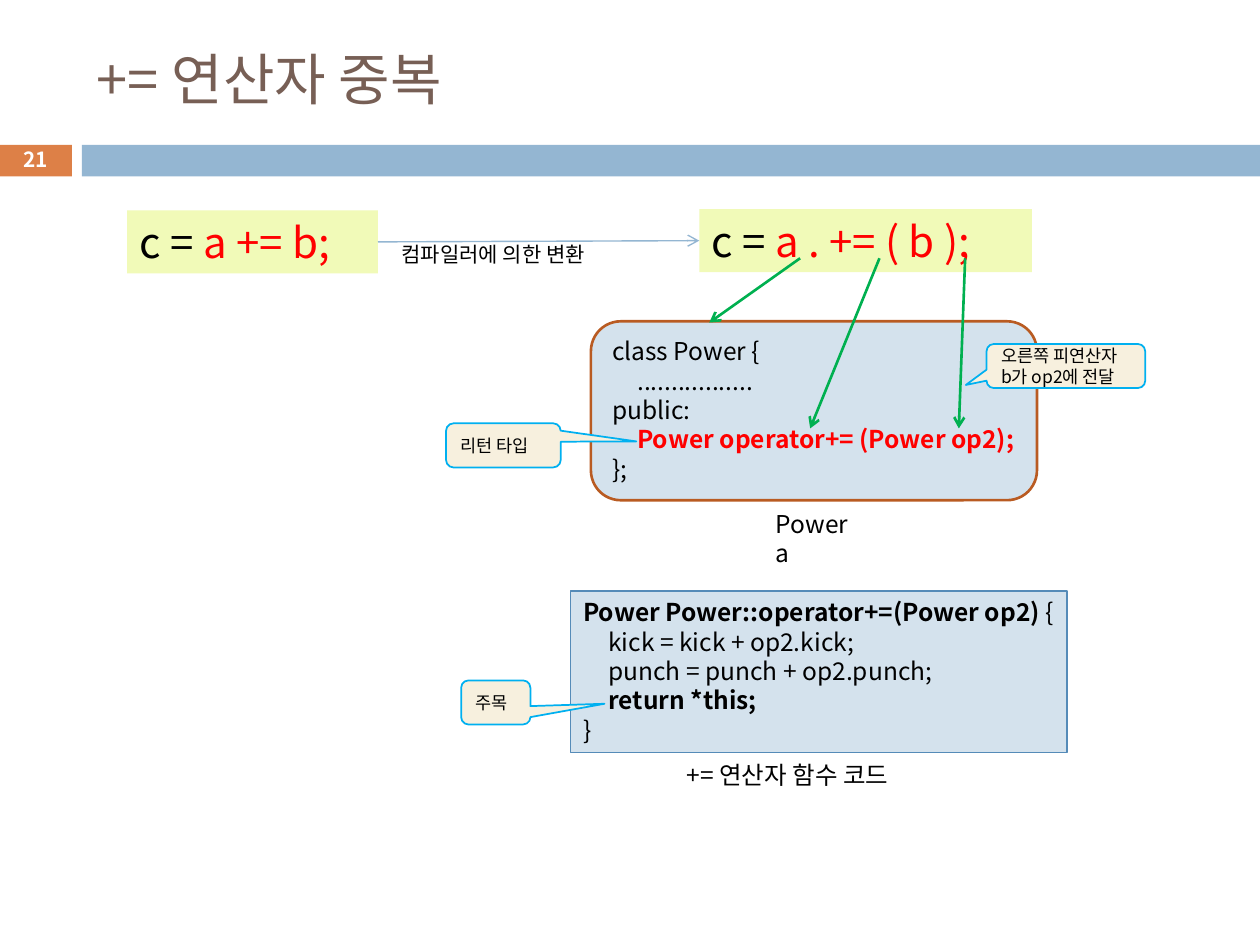
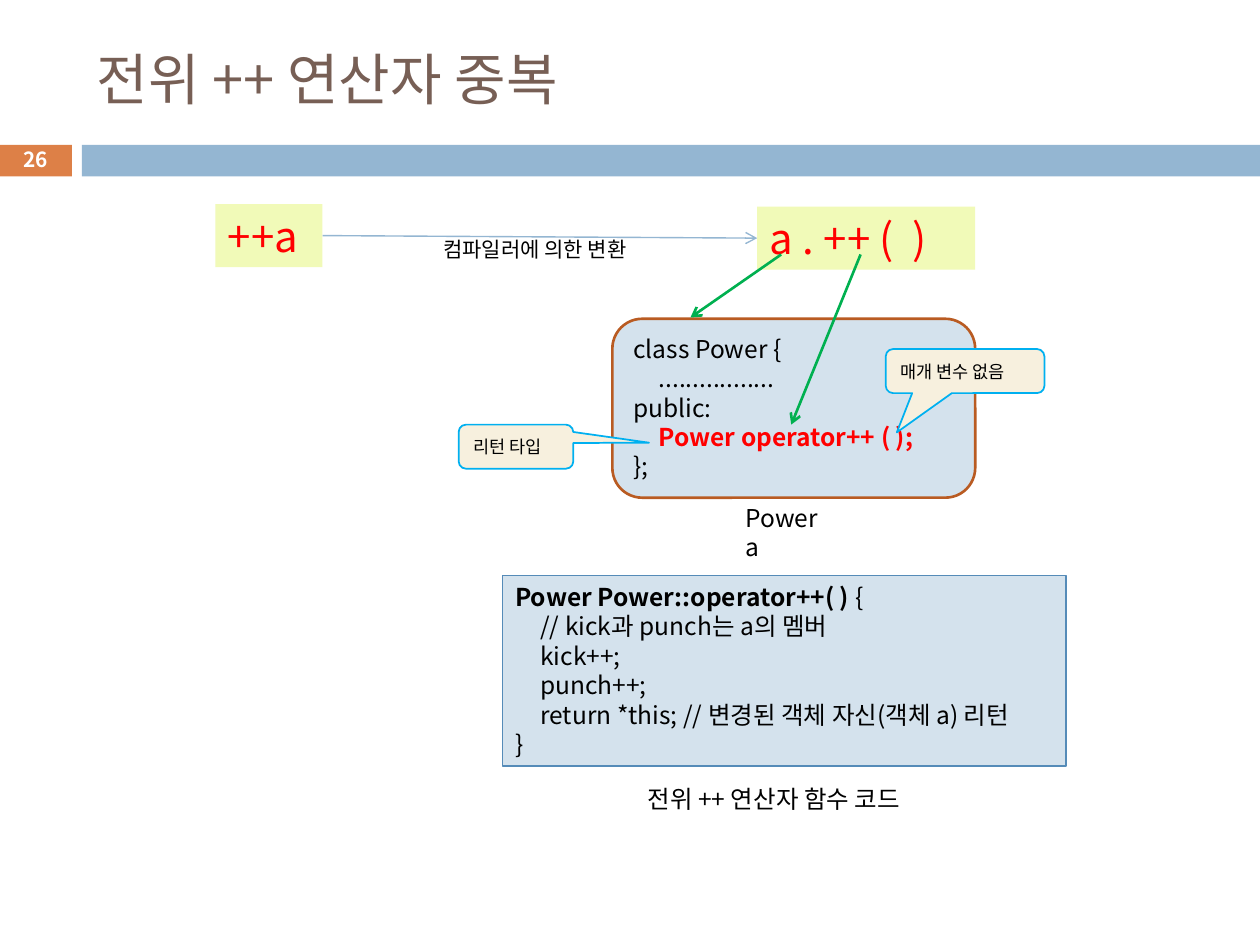
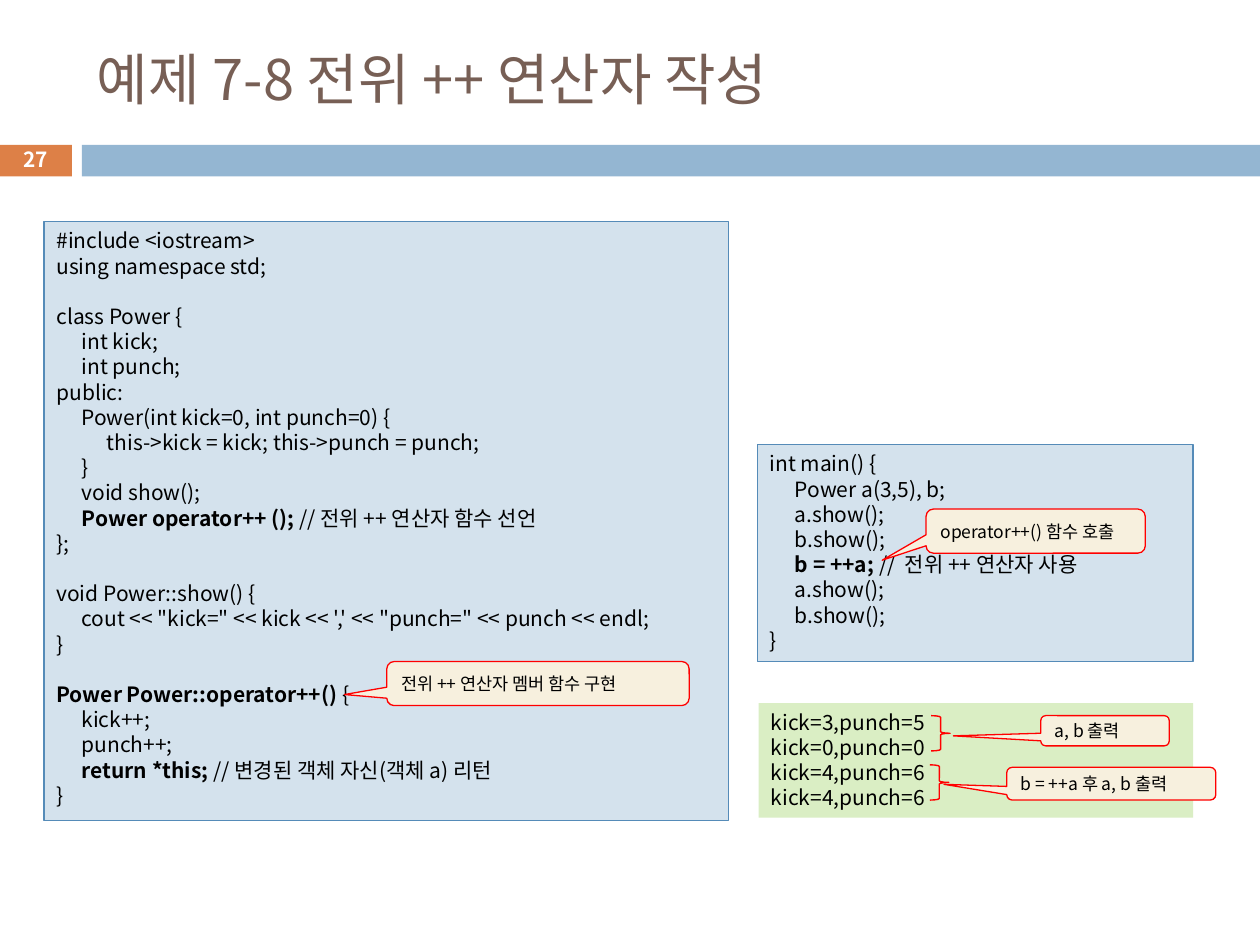
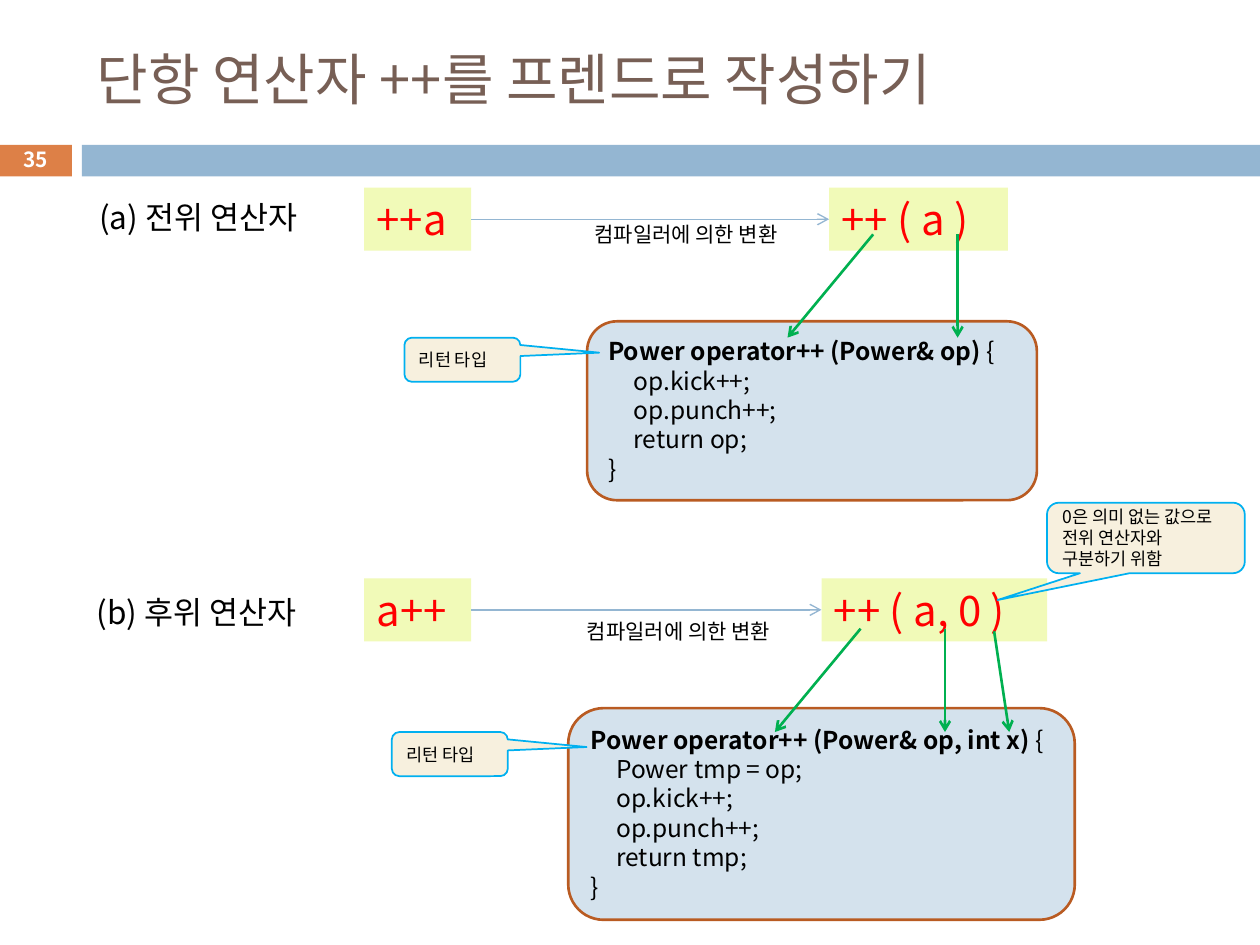
from lxml.etree import SubElement as Sub
from pptx import Presentation
from pptx.dml.color import RGBColor as RGB
from pptx.enum.shapes import MSO_CONNECTOR as CONN, MSO_SHAPE as SHAPE
from pptx.enum.text import MSO_ANCHOR as ANCHOR, MSO_AUTO_SIZE as AUTO, PP_ALIGN as ALIGN
from pptx.oxml.ns import qn
from pptx.util import Inches, Pt

FONT = "Noto Sans CJK KR"
BLACK, WHITE, RED, GREEN = "000000", "FFFFFF", "FF0000", "00B050"
BROWN, ORANGE, BLUE = "775F55", "DD8047", "94B6D2"
CODE, EDGE, RIM = "D4E2ED", "558BB8", "B95B22"
LIME, MINT, CREAM, CYAN = "F1FAB8", "DAEEC4", "F7F0DE", "00B0F0"
LEAD = 1.2
TAB = 0.2


def color(code):
    """Turn a hex string into a colour."""
    return RGB.from_string(code)


class Deck:
    """Hold the style and the current slide."""

    def __init__(self):
        """Start an empty deck of 10 by 7.5 inches."""
        self.prs = Presentation()
        self.prs.slide_width, self.prs.slide_height = Inches(10), Inches(7.5)
        self.page = None

    def begin(self, title, num):
        """Add a slide with its bands, title and number."""
        self.page = self.prs.slides.add_slide(self.prs.slide_layouts[6])
        self.shape(SHAPE.RECTANGLE, (-0.01, 1.15, 0.58, 0.25), ORANGE)
        self.shape(SHAPE.RECTANGLE, (0.65, 1.15, 9.35, 0.25), BLUE)
        self.label(title, (0.67, 0.25, 8.92, 0.74), 32, BROWN, grow=False)
        mark = self.label(f"|{num}", (-0.01, 1.13, 0.58, 0.27), 11.9, WHITE, grow=False)
        mark.text_frame.paragraphs[0].alignment = ALIGN.CENTER

    def shape(self, kind, box, fill=None, line=None, width=0.75):
        """Add a preset shape without shadow."""
        item = self.page.shapes.add_shape(kind, *map(Inches, box))
        item.shadow.inherit = False
        if fill:
            item.fill.solid()
            item.fill.fore_color.rgb = color(fill)
        else:
            item.fill.background()
        if line:
            item.line.color.rgb = color(line)
            item.line.width = Pt(width)
        else:
            item.line.fill.background()
        return item

    def words(self, item, text, size, ink=BLACK, hot=None, bold=True, grow=True):
        """Fill a shape with text whose parts after each odd bar stand out."""
        frame = item.text_frame
        frame.word_wrap = True
        frame.auto_size = AUTO.SHAPE_TO_FIT_TEXT if grow else AUTO.NONE
        frame.vertical_anchor = ANCHOR.TOP if grow else ANCHOR.MIDDLE
        frame.text = "\n".join("" for _ in text.split("\n"))
        for para, line in zip(frame.paragraphs, text.split("\n")):
            para.alignment = ALIGN.LEFT
            para.line_spacing = Pt(size * LEAD)
            if "\t" in line:
                tabs = Sub(para._p.get_or_add_pPr(), qn("a:tabLst"))
                for step in (1, 2):
                    Sub(tabs, qn("a:tab"), pos=str(Inches(TAB * step)), algn="l")
            for row, piece in enumerate(line.split("\v")):
                if row:
                    para.add_line_break()
                for n, part in enumerate(piece.split("|")):
                    if part:
                        self.span(para, part, size, hot if n % 2 and hot else ink, bold and n % 2 == 1)
            if not line:
                Sub(para._p, qn("a:endParaRPr"), sz=str(int(size * 100)))

    def span(self, para, text, size, ink, bold):
        """Add one run in the deck font."""
        run = para.add_run()
        run.text = text
        font = run.font
        font.size, font.bold, font.name = Pt(size), bold, FONT
        font.color.rgb = color(ink)
        Sub(run._r.get_or_add_rPr(), qn("a:ea"), typeface=FONT)

    def label(self, text, box, size=14, ink=BLACK, grow=True):
        """Add plain text."""
        item = self.page.shapes.add_textbox(*map(Inches, box))
        self.words(item, text, size, ink, grow=grow)
        return item

    def code(self, text, box, size=14, fill=CODE, line=EDGE):
        """Add a square listing."""
        self.words(self.shape(SHAPE.RECTANGLE, box, fill, line), text, size)

    def card(self, text, box, hot=None):
        """Add a round listing."""
        item = self.shape(SHAPE.ROUNDED_RECTANGLE, box, CODE, RIM, 1.5)
        self.words(item, text, 14, hot=hot)

    def expr(self, text, left, top, width):
        """Add a large expression on lime."""
        item = self.shape(SHAPE.RECTANGLE, (left, top, width, 0.5), LIME)
        self.words(item, text, 24, hot=RED, bold=False)
        return item

    def note(self, text, box, tip, line=CYAN, width=1):
        """Add a callout whose tip is given in parts of its size."""
        item = self.shape(SHAPE.ROUNDED_RECTANGULAR_CALLOUT, box, CREAM, line, width)
        item.adjustments[0], item.adjustments[1] = tip
        self.words(item, text, 10, grow=False)

    def arrow(self, start, end, ink=GREEN, width=1.5):
        """Add a straight arrow."""
        ends = map(Inches, (*start, *end))
        item = self.page.shapes.add_connector(CONN.STRAIGHT, *ends)
        item.line.color.rgb = color(ink)
        item.line.width = Pt(width)
        props = item._element.spPr
        Sub(props.find(qn("a:ln")), qn("a:tailEnd"), type="arrow")
        Sub(props, qn("a:effectLst"))
        return item

    def shift(self, old, new, spot):
        """Show one expression turned into another by the compiler."""
        left, right = self.expr(*old), self.expr(*new)
        item = self.arrow((0, 0), (1, 1), BLUE, 0.79)
        item.begin_connect(left, 3)
        item.end_connect(right, 1)
        self.label("컴파일러에 의한 변환", (*spot, 2.06, 0.3), 12)

    def brace(self, left, top):
        """Add a red right brace."""
        self.shape(SHAPE.RIGHT_BRACE, (left, top, 0.15, 0.28), None, RED, 0.79)


def assign(deck):
    """Build the += slide."""
    deck.begin("+= 연산자 중복", 21)
    deck.card("class Power {\n\t.................\npublic:\n"
              "\t|Power operator+= (Power op2);\n};", (4.69, 2.55, 3.54, 1.42), RED)
    deck.shift(("c = |a += b;", 1.01, 1.67, 1.99),
               ("c = |a . += ( b );", 5.55, 1.66, 2.64), (3.09, 1.87))
    deck.code("|Power Power::operator+=(Power op2) |{\n\tkick = kick + op2.kick;\n"
              "\tpunch = punch + op2.punch;\n\t|return *this;\n}", (4.53, 4.69, 3.94, 1.28))
    deck.label("Power a", (6.06, 3.99, 0.91, 0.34))
    for start, end in (((7.66, 2.05), (7.61, 3.4)), ((6.98, 2.05), (6.43, 3.4)),
                       ((6.35, 2.05), (5.63, 2.56))):
        deck.arrow(start, end)
    deck.note("리턴 타입", (3.54, 3.36, 0.91, 0.35), (1.16, -0.09))
    deck.note("오른쪽 피연산자\vb가 op2에 전달", (7.83, 2.73, 1.26, 0.35), (-0.63, 0.43))
    deck.label("+= 연산자 함수 코드", (5.35, 5.98, 2.05, 0.34))
    deck.note("주목", (3.66, 5.4, 0.55, 0.35), (1.57, 0.03))


def prefix(deck):
    """Build the prefix ++ slide."""
    deck.begin("전위 ++ 연산자 중복", 26)
    deck.card("class Power {\n\t.................\npublic:\n"
              "\t|Power operator++ ( );\n};", (4.86, 2.53, 2.88, 1.42), RED)
    deck.shift(("|++a", 1.71, 1.62, 0.85), ("|a . ++ (  )", 6.01, 1.64, 1.73), (3.42, 1.83))
    deck.code("|Power Power::operator++( ) |{\n\t// kick과 punch는 a의 멤버\n\tkick++;\n"
              "\tpunch++;\n\treturn *this; // 변경된 객체 자신(객체 a) 리턴\n}",
              (3.99, 4.57, 4.47, 1.51))
    deck.label("Power a", (5.82, 3.94, 0.91, 0.34))
    deck.arrow((6.83, 2.02), (6.28, 3.37))
    deck.arrow((6.2, 2.02), (5.48, 2.52))
    deck.note("리턴 타입", (3.64, 3.37, 0.91, 0.35), (1.16, -0.09))
    deck.note("매개 변수 없음", (7.03, 2.77, 1.26, 0.35), (-0.43, 1.39))
    deck.label("전위 ++ 연산자 함수 코드", (5.04, 6.17, 2.52, 0.34))


CLASS = """#include <iostream>
using namespace std;

class Power {
\tint kick;
\tint punch;
public:
\tPower(int kick=0, int punch=0) {
\t\tthis->kick = kick; this->punch = punch;
\t}
\tvoid show();
\t|Power operator++ (); |// 전위 ++ 연산자 함수 선언
};

void Power::show() {
\tcout << "kick=" << kick << ',' << "punch=" << punch << endl;
}

|Power Power::operator++() |{
\tkick++;
\tpunch++;
\t|return *this; |// 변경된 객체 자신(객체 a) 리턴
}"""

MAIN = """int main() {
\tPower a(3,5), b;
\ta.show();
\tb.show();
\t|b = ++a; |//  전위 ++ 연산자 사용
\ta.show();
\tb.show();
}"""

OUTPUT = """kick=3,punch=5
kick=0,punch=0
kick=4,punch=6
kick=4,punch=6"""


def sample(deck):
    """Build the example slide."""
    deck.begin("예제 7-8 전위 ++ 연산자 작성", 27)
    deck.code(CLASS, (0.35, 1.76, 5.43, 4.75), 12)
    deck.code(MAIN, (6.01, 3.53, 3.46, 1.72), 12)
    deck.code(OUTPUT, (6.02, 5.58, 3.45, 0.91), 12, MINT, None)
    for text, box, tip in (
            ("a, b 출력", (8.26, 5.68, 1.02, 0.24), (-1.18, 0.17)),
            ("b = ++a 후 a, b 출력", (7.99, 6.09, 1.66, 0.26), (-0.8, 0.02)),
            ("전위 ++ 연산자 멤버 함수 구현", (3.07, 5.25, 2.4, 0.35), (-0.64, 0.25)),
            ("operator++() 함수 호출", (7.35, 4.04, 1.74, 0.35), (-0.7, 0.66))):
        deck.note(text, box, tip, RED, 0.75)
    deck.brace(7.39, 5.68)
    deck.brace(7.38, 6.07)


def friend(deck):
    """Build the friend function slide."""
    deck.begin("단항 연산자 ++를 프렌드로 작성하기", 35)
    deck.shift(("|++a", 2.89, 1.49, 0.85), ("|++ ( a )", 6.58, 1.49, 1.42), (4.62, 1.71))
    deck.shift(("|a++", 2.89, 4.59, 0.85), ("|++ ( a, 0 )", 6.52, 4.59, 1.79), (4.56, 4.86))
    deck.card("|Power operator++ (Power& op) |{\n\top.kick++;\n\top.punch++;\n"
              "\treturn op;\n}", (4.66, 2.55, 3.57, 1.42))
    deck.card("|Power operator++ (Power& op, int x) |{\n\tPower tmp = op;\n\top.kick++;\n"
              "\top.punch++;\n\treturn tmp;\n}", (4.51, 5.62, 4.02, 1.68))
    deck.note("0은 의미 없는 값으로\v전위 연산자와\v구분하기 위함",
              (8.31, 3.99, 1.57, 0.56), (-0.75, 0.88))
    deck.label("(a) 전위 연산자", (0.69, 1.52, 1.93, 0.4), 18)
    deck.label("(b) 후위 연산자", (0.67, 4.66, 1.95, 0.4), 18)
    for left, top, mid in ((3.21, 2.68, 7.6), (3.11, 5.81, 7.5)):
        deck.note("리턴 타입", (left, top, 0.92, 0.35), (1.18, -0.16))
        deck.arrow((mid - 0.67, top - 0.82), (mid - 1.35, top))
        deck.arrow((mid, top - 0.82), (mid, top))
    deck.arrow((7.89, 5.01), (8.01, 5.81))


def main():
    """Build and save the deck."""
    deck = Deck()
    for build in (assign, prefix, sample, friend):
        build(deck)
    deck.prs.save("out.pptx")


if __name__ == "__main__":
    main()
